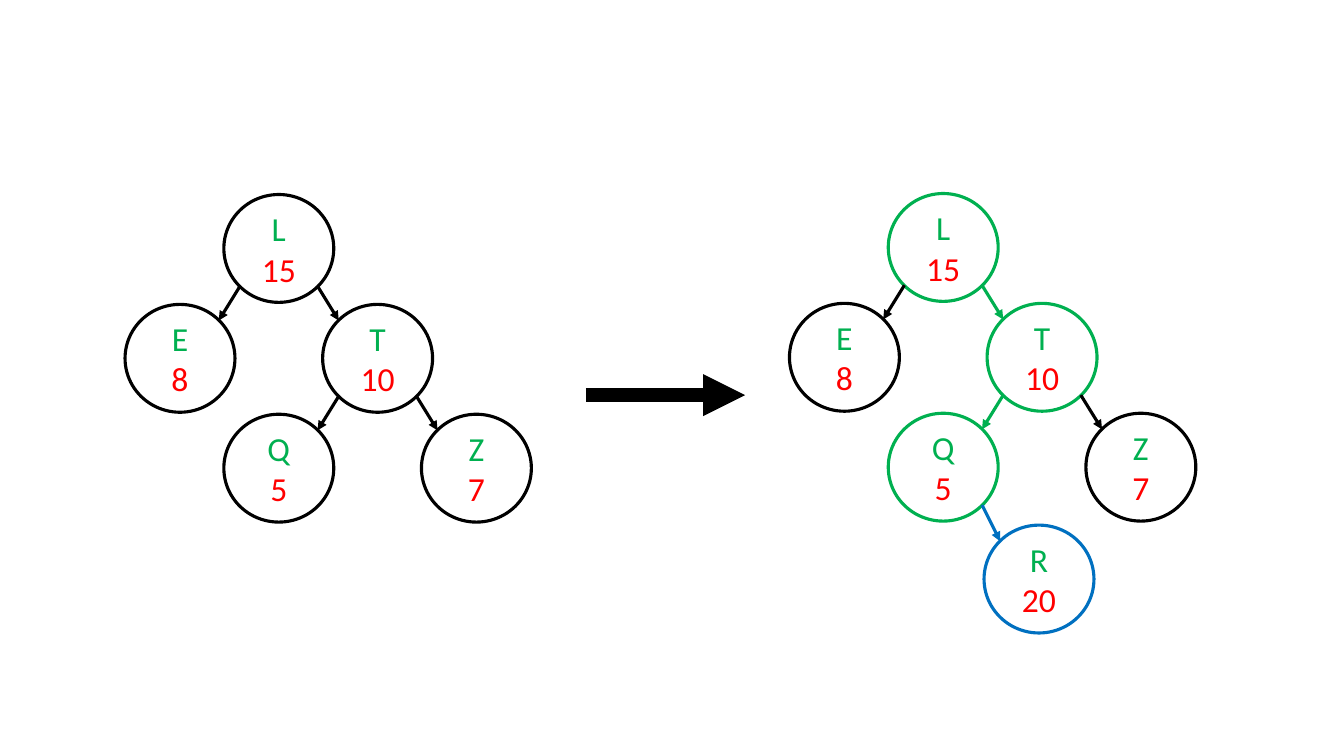
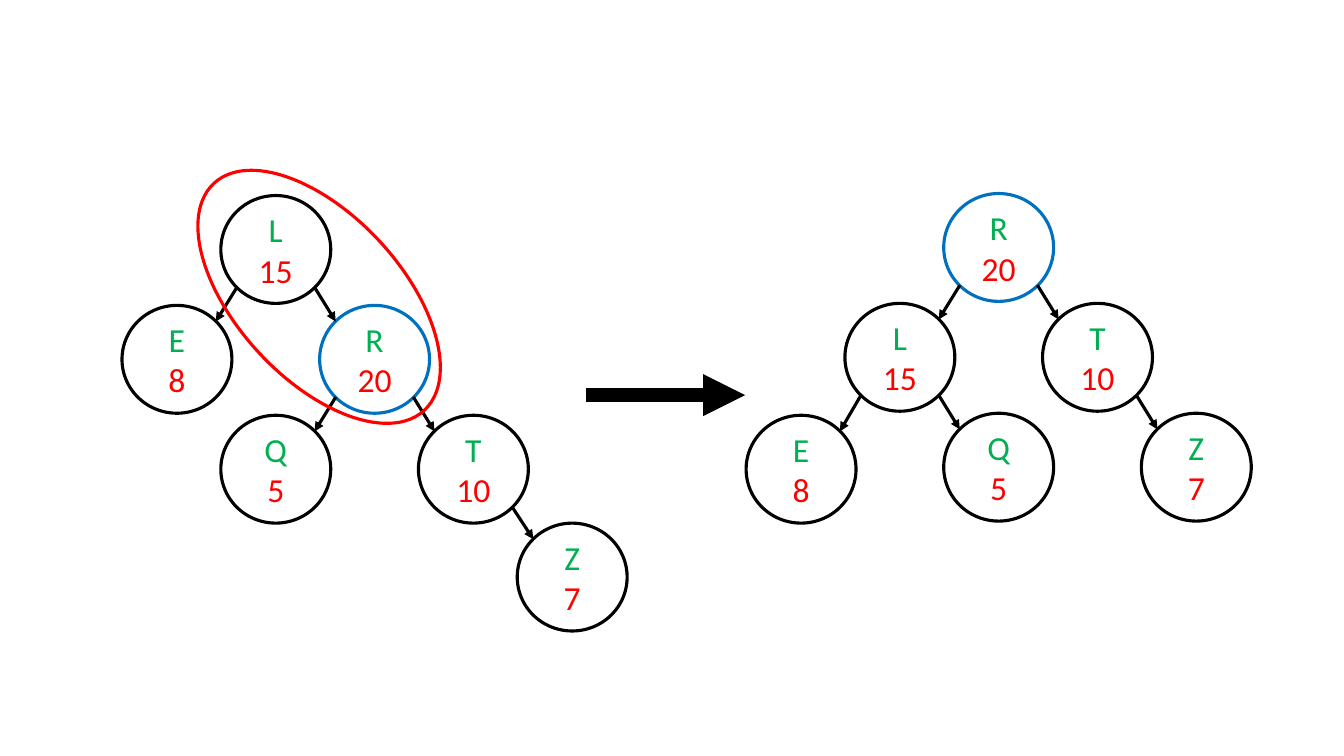
from dataclasses import dataclass

import pptx
import pptx.dml.color
import pptx.enum.shapes
import pptx.enum.text
import pptx.oxml.ns
import pptx.util
from lxml import etree

PX = 9144  # EMU per px, 100 px to the inch


@dataclass(frozen=True)
class Theme:
    font: str = "Calibri"
    text_size: float = 24
    thin: float = 2.25
    thick: float = 10
    black: str = "000000"
    green: str = "00B050"
    blue: str = "0070C0"
    red: str = "FF0000"


THEME = Theme()
PAGE_WIDTH, PAGE_HEIGHT = 1333, 750
NODE_WIDTH, NODE_HEIGHT = 109, 107
COLUMN_STEP, ROW_STEP = 98, 109
RIM_INSET = 16  # from a node's frame to its diagonal rim points

PRIORITIES = {"L": 15, "E": 8, "T": 10, "Q": 5, "Z": 7, "R": 20}


@dataclass(frozen=True)
class Node:
    """Tree node; column and row count from the root, shift is in px."""
    key: str
    column: int = 0
    row: int = 0
    parent: str = ""
    outline: str = THEME.black
    link: str = THEME.black
    shift: tuple = (0, 0)


BEFORE_INSERT = [
    Node("L"),
    Node("E", -1, 1, "L"),
    Node("T", 1, 1, "L"),
    Node("Q", 0, 2, "T"),
    Node("Z", 2, 2, "T"),
]
AFTER_INSERT = [
    Node("L", outline=THEME.green),
    Node("E", -1, 1, "L"),
    Node("T", 1, 1, "L", THEME.green, THEME.green),
    Node("Q", 0, 2, "T", THEME.green, THEME.green),
    Node("Z", 2, 2, "T"),
    Node("R", 1, 3, "Q", THEME.blue, THEME.blue, (-3, 2)),
]
BEFORE_ROTATION = [
    Node("L"),
    Node("E", -1, 1, "L"),
    Node("R", 1, 1, "L", THEME.blue),
    Node("Q", 0, 2, "R"),
    Node("T", 2, 2, "R"),
    Node("Z", 3, 3, "T", shift=(0, -2)),
]
AFTER_ROTATION = [
    Node("R", outline=THEME.blue),
    Node("L", -1, 1, "R"),
    Node("T", 1, 1, "R"),
    Node("E", -2, 2, "L", shift=(0, 2)),
    Node("Q", 0, 2, "L"),
    Node("Z", 2, 2, "T"),
]


def px(*lengths):
    return [pptx.util.Emu(length * PX) for length in lengths]


def rgb(colour):
    return pptx.dml.color.RGBColor.from_string(colour)


def style_line(line, colour, width):
    line.color.rgb = rgb(colour)
    line.width = pptx.util.Pt(width)


def add_ellipse(page, left, top, width, height, colour):
    ellipse = page.shapes.add_shape(
        pptx.enum.shapes.MSO_SHAPE.OVAL, *px(left, top, width, height))
    ellipse.shadow.inherit = False
    ellipse.fill.background()
    style_line(ellipse.line, colour, THEME.thin)
    return ellipse


def add_arrow(page, start, end, colour=THEME.black, width=THEME.thin):
    arrow = page.shapes.add_connector(
        pptx.enum.shapes.MSO_CONNECTOR.STRAIGHT, *px(*start, *end))
    style_line(arrow.line, colour, width)
    qn = pptx.oxml.ns.qn
    properties = arrow.element.find(qn("p:spPr"))
    etree.SubElement(properties.find(qn("a:ln")), qn("a:tailEnd"), type="triangle")
    etree.SubElement(properties, qn("a:effectLst"))


def add_node(page, node, left, top):
    circle = add_ellipse(page, left, top, NODE_WIDTH, NODE_HEIGHT, node.outline)
    frame = circle.text_frame
    frame.vertical_anchor = pptx.enum.text.MSO_ANCHOR.MIDDLE
    frame.text = f"{node.key}\n{PRIORITIES[node.key]}"
    for paragraph, colour in zip(frame.paragraphs, (THEME.green, THEME.red)):
        paragraph.alignment = pptx.enum.text.PP_ALIGN.CENTER
        paragraph.font.name = THEME.font
        paragraph.font.size = pptx.util.Pt(THEME.text_size)
        paragraph.font.color.rgb = rgb(colour)


def link_ends(parent, child):
    """Rim points where the arrow leaves the parent and meets the child."""
    near, far = RIM_INSET, NODE_WIDTH - RIM_INSET
    leave, meet = (far, near) if child[0] > parent[0] else (near, far)
    return ((parent[0] + leave, parent[1] + NODE_HEIGHT - RIM_INSET),
            (child[0] + meet, child[1] + RIM_INSET))


def add_tree(page, nodes, root_left, root_top):
    corners = {}
    for node in nodes:
        left = root_left + node.column * COLUMN_STEP + node.shift[0]
        top = root_top + node.row * ROW_STEP + node.shift[1]
        corners[node.key] = left, top
        add_node(page, node, left, top)
        if node.parent:
            ends = link_ends(corners[node.parent], corners[node.key])
            add_arrow(page, *ends, node.link)


def add_step(deck, before, before_root, after, after_root):
    """Page with one tree, a thick arrow and the tree that results."""
    page = deck.slides.add_slide(deck.slide_layouts.get_by_name("Blank"))
    add_tree(page, before, *before_root)
    add_arrow(page, (581, 392), (739, 392), width=THEME.thick)
    add_tree(page, after, *after_root)
    return page


def main():
    deck = pptx.Presentation()
    deck.slide_width, deck.slide_height = px(PAGE_WIDTH, PAGE_HEIGHT)
    add_step(deck, BEFORE_INSERT, (222, 193), AFTER_INSERT, (881, 192))
    rotation = add_step(deck, BEFORE_ROTATION, (219, 194), AFTER_ROTATION, (936, 192))
    marker = add_ellipse(rotation, 163, 213, 307, 163, THEME.red)
    marker.rotation = 47.2
    deck.save("out.pptx")


if __name__ == "__main__":
    main()
